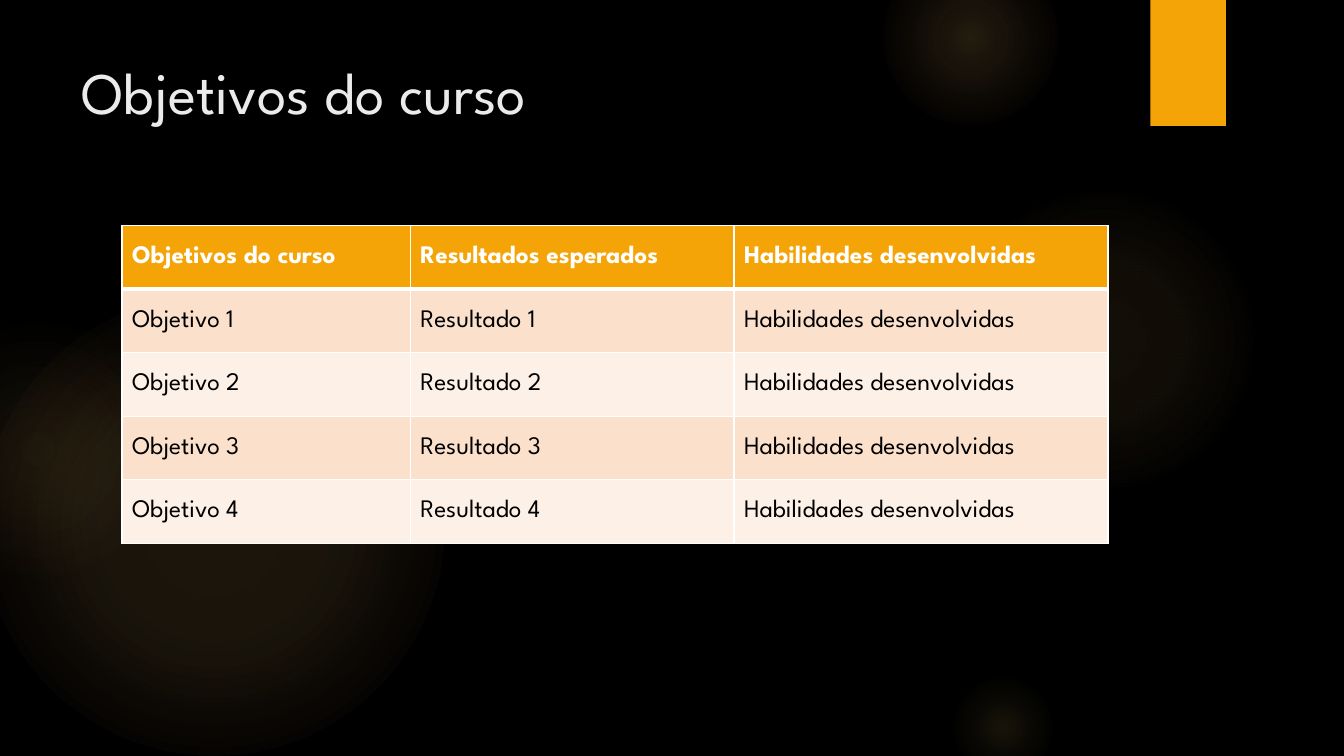
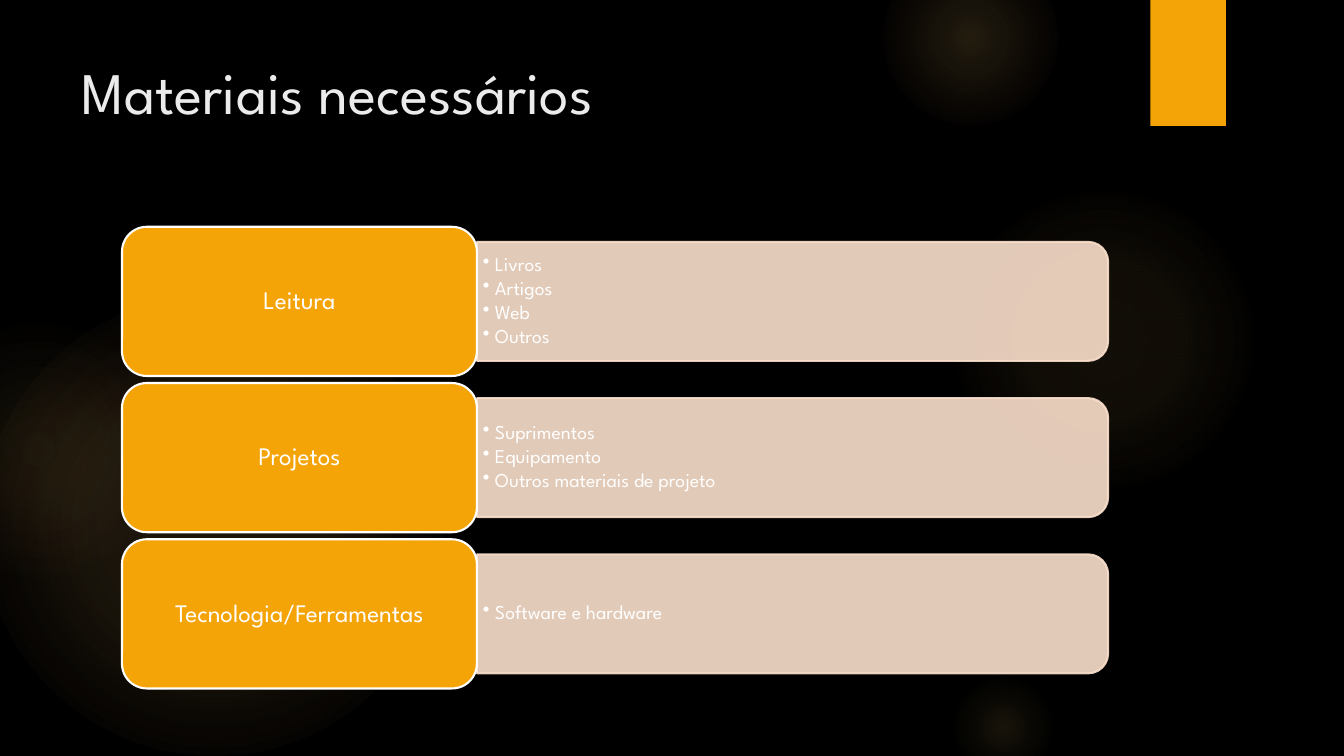
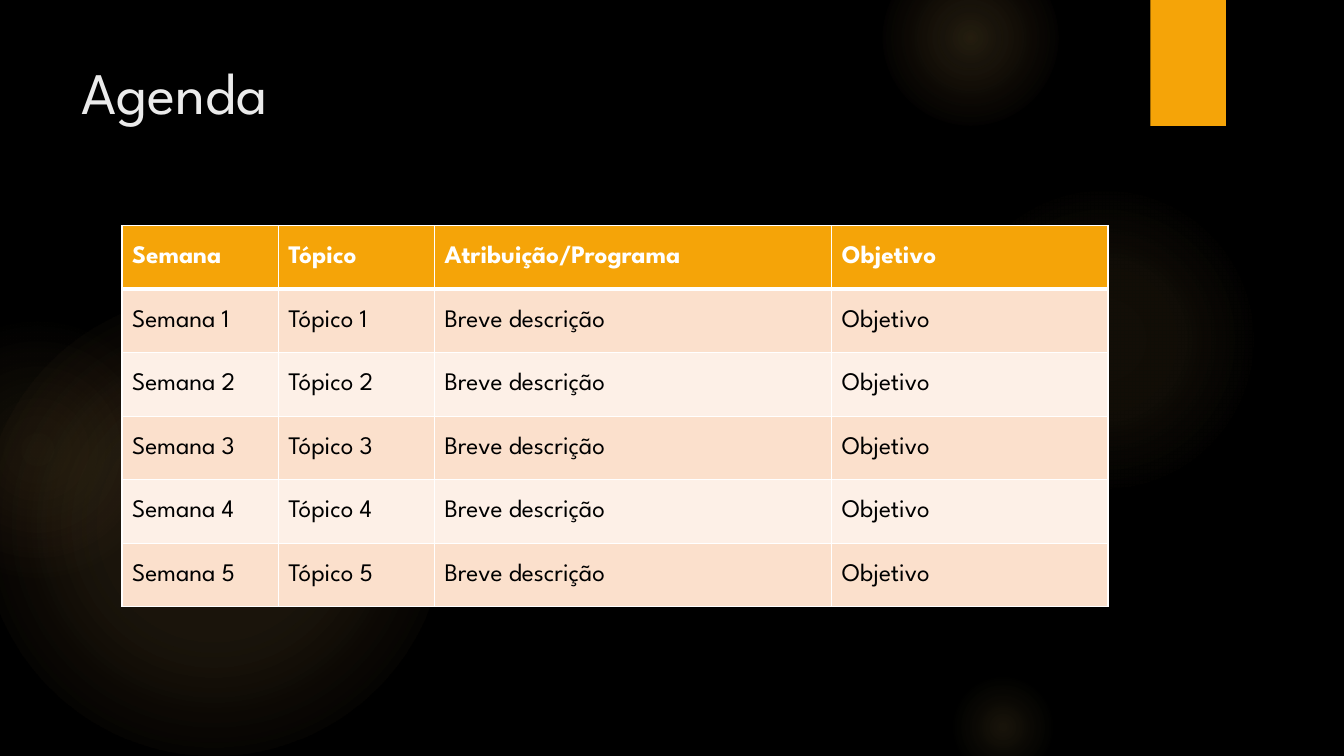
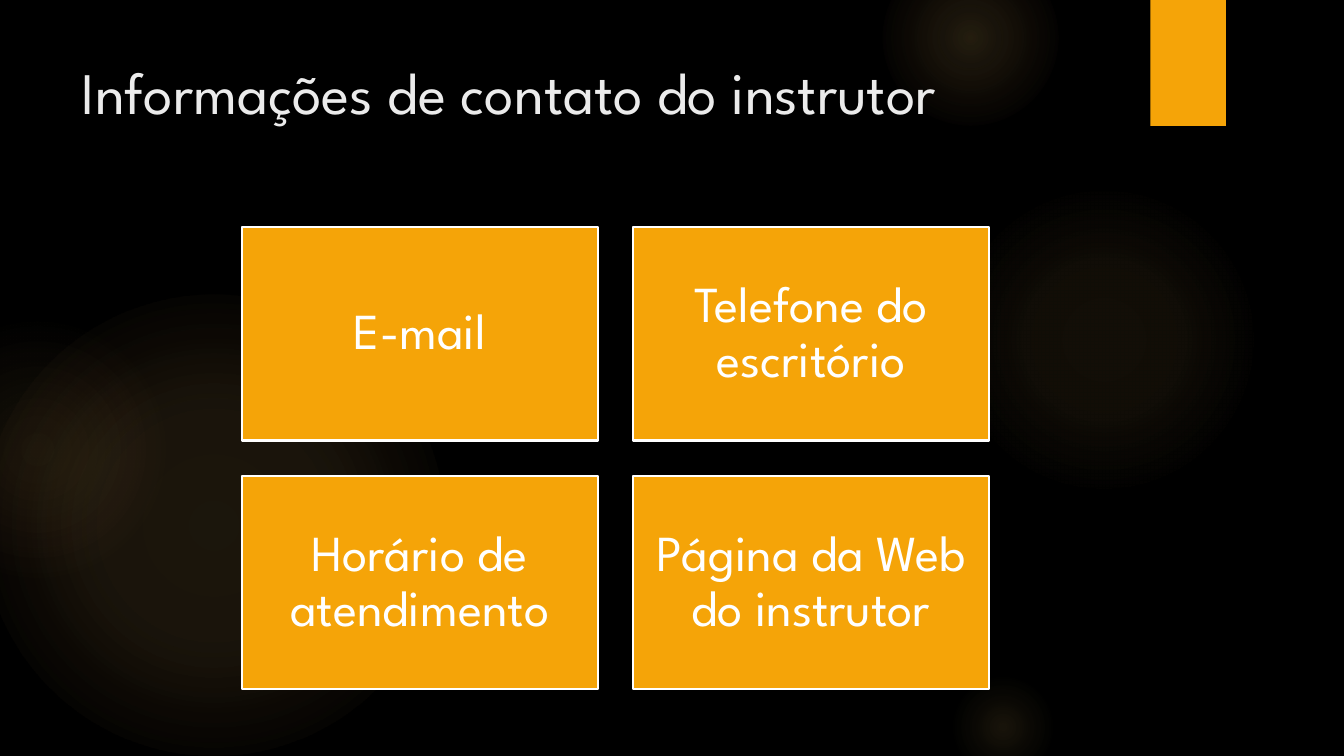
from dataclasses import dataclass

from lxml import etree
from pptx import Presentation
from pptx.dml.color import RGBColor
from pptx.enum.shapes import MSO_SHAPE
from pptx.enum.text import MSO_ANCHOR, MSO_AUTO_SIZE, PP_ALIGN
from pptx.oxml import parse_xml
from pptx.oxml.ns import nsdecls, qn
from pptx.shapes.shapetree import SlideShapes
from pptx.util import Inches, Pt

RECT = MSO_SHAPE.RECTANGLE
ROUNDED = MSO_SHAPE.ROUNDED_RECTANGLE
TOP_ROUNDED = MSO_SHAPE.ROUND_2_SAME_RECTANGLE
OVAL = MSO_SHAPE.OVAL
LEFT, CENTER = PP_ALIGN.LEFT, PP_ALIGN.CENTER
TOP, MIDDLE = MSO_ANCHOR.TOP, MSO_ANCHOR.MIDDLE
TITLE_ONLY = 5


@dataclass(frozen=True)
class Theme:
    font: str = "League Spartan"
    background: str = "000000"
    title: str = "EBEBEB"
    accent: str = "F5A408"
    glow: str = "FAC96A"
    glow_edge: str = "F59B74"
    band_dark: str = "FBE0CC"
    band_light: str = "FDF0E7"
    light: str = "FFFFFF"
    dark: str = "000000"
    title_size: int = 42
    card_size: int = 36
    text_size: int = 18
    list_size: int = 14
    outline: float = 1.5


# left, top, diameter, then (position %, opacity %) stops
GLOWS = [
    (-0.17, 2.92, 4.58, [(0, 11), (36, 10), (75, 0)]),
    (-0.92, 3.17, 2.58, [(0, 8), (36, 5), (71, 0)]),
    (9.41, 1.83, 3.08, [(0, 7), (36, 6), (69, 0)]),
    (8.75, -0.5, 1.75, [(0, 14), (36, 7), (73, 0)]),
    (9.41, 6.67, 1.08, [(0, 10), (31, 5), (66, 0)]),
]
WARM_GLOW = 1


def rgb(color):
    return RGBColor.from_string(color)


class Deck:
    def __init__(self, theme):
        self.theme = theme
        self.prs = Presentation()
        self.prs.slide_width = Inches(13.33)
        self.prs.slide_height = Inches(7.5)
        self.layout = self.prs.slide_layouts[TITLE_ONLY]
        self.decorate_layout()

    def decorate_layout(self):
        """Put the background, glows and corner tab on the shared layout."""
        t = self.theme
        fill = self.prs.slide_master.background.fill
        fill.solid()
        fill.fore_color.rgb = rgb(t.background)
        self.shapes = SlideShapes(self.layout.shapes.element, self.layout)
        for i, (left, top, size, stops) in enumerate(GLOWS):
            edge = t.glow_edge if i == WARM_GLOW else t.glow
            self.glow(left, top, size, stops, edge)
        self.box(RECT, 11.41, 0, 0.75, 1.25, t.accent)

    def glow(self, left, top, size, stops, edge):
        sp = self.shapes.add_shape(
            OVAL, Inches(left), Inches(top), Inches(size), Inches(size))
        sp.shadow.inherit = False
        sp.line.fill.background()
        colors = [self.theme.glow] * (len(stops) - 1) + [edge]
        gs = "".join(
            f'<a:gs pos="{pos * 1000}"><a:srgbClr val="{color}">'
            f'<a:alpha val="{alpha * 1000}"/></a:srgbClr></a:gs>'
            for (pos, alpha), color in zip(stops, colors))
        grad = parse_xml(
            f'<a:gradFill {nsdecls("a")} rotWithShape="1"><a:gsLst>{gs}</a:gsLst>'
            '<a:path path="circle"><a:fillToRect l="50000" t="50000" r="50000"'
            ' b="50000"/></a:path></a:gradFill>')
        sp.element.spPr.find(qn("a:prstGeom")).addnext(grad)

    def add_slide(self, title):
        t = self.theme
        slide = self.prs.slides.add_slide(self.layout)
        self.shapes = slide.shapes
        sp = slide.shapes.title
        sp.left, sp.top = Inches(0.71), Inches(0.5)
        sp.width, sp.height = Inches(10.29), Inches(1.53)
        tf = sp.text_frame
        tf.text = title
        tf.auto_size = MSO_AUTO_SIZE.NONE
        tf.vertical_anchor = TOP
        self.style(tf.paragraphs[0], t.title_size, t.title, LEFT)

    def style(self, p, size, color, align, bold=False):
        p.alignment = align
        for r in p.runs:
            r.font.name = self.theme.font
            r.font.size = Pt(size)
            r.font.bold = bold
            r.font.color.rgb = rgb(color)

    def box(self, kind, left, top, width, height, fill, line=None, opacity=None):
        sp = self.shapes.add_shape(
            kind, Inches(left), Inches(top), Inches(width), Inches(height))
        sp.shadow.inherit = False
        sp.fill.solid()
        sp.fill.fore_color.rgb = rgb(fill)
        if line:
            sp.line.color.rgb = rgb(line)
            sp.line.width = Pt(self.theme.outline)
        else:
            sp.line.fill.background()
        if opacity is not None:
            for clr in list(sp.element.spPr.iter(qn("a:srgbClr"))):
                etree.SubElement(clr, qn("a:alpha")).set("val", str(opacity * 1000))
        return sp

    def frame(self, sp, text, inset_x, inset_y):
        """Fill a shape with middle-anchored, wrapped text."""
        tf = sp.text_frame
        tf.word_wrap = True
        tf.vertical_anchor = MIDDLE
        tf.margin_left = tf.margin_right = Inches(inset_x)
        tf.margin_top = tf.margin_bottom = Inches(inset_y)
        tf.text = text
        for p in tf.paragraphs:
            p.line_spacing = 0.9
        return tf

    def card(self, kind, left, top, width, height, text, size, inset_x, inset_y):
        t = self.theme
        sp = self.box(kind, left, top, width, height, t.accent, t.light)
        tf = self.frame(sp, text, inset_x, inset_y)
        self.style(tf.paragraphs[0], size, t.light, CENTER)

    def panel(self, left, top, width, height):
        """Draw a panel rounded on its right side, by a quarter turn."""
        t = self.theme
        sp = self.box(TOP_ROUNDED, left + (width - height) / 2,
                      top + (height - width) / 2, height, width,
                      t.band_dark, t.band_dark, opacity=90)
        sp.rotation = 90

    def bullets(self, left, top, width, height, items):
        t = self.theme
        sp = self.shapes.add_textbox(
            Inches(left), Inches(top), Inches(width), Inches(height))
        for p in self.frame(sp, "\n".join(items), 0.06, 0.03).paragraphs:
            p.level = 1
            p.space_after = Pt(2)
            self.style(p, t.list_size, t.light, LEFT)
            pPr = p._p.get_or_add_pPr()
            pPr.set("marL", str(Inches(0.12)))
            pPr.set("indent", str(-Inches(0.12)))
            etree.SubElement(pPr, qn("a:buChar")).set("char", "•")

    def borders(self, cell, top, bottom):
        tcPr = cell._tc.get_or_add_tcPr()
        for side, width in (("L", 1), ("R", 1), ("T", top), ("B", bottom)):
            ln = etree.SubElement(tcPr, qn(f"a:ln{side}"), w=str(Pt(width)))
            fill = etree.SubElement(ln, qn("a:solidFill"))
            etree.SubElement(fill, qn("a:srgbClr"), val=self.theme.light)

    def table(self, widths, rows, left=1.21, top=2.24, row_height=0.63):
        t = self.theme
        table = self.shapes.add_table(
            len(rows), len(widths), Inches(left), Inches(top),
            Inches(sum(widths)), Inches(row_height * len(rows))).table
        for column, width in zip(table.columns, widths):
            column.width = Inches(width)
        for i, row in enumerate(rows):
            header = i == 0
            fill = t.accent if header else t.band_dark if i % 2 else t.band_light
            for j, text in enumerate(row):
                cell = table.cell(i, j)
                cell.text = text
                cell.vertical_anchor = MIDDLE
                self.borders(cell, top=3 if i == 1 else 1, bottom=3 if header else 1)
                cell.fill.solid()
                cell.fill.fore_color.rgb = rgb(fill)
                self.style(cell.text_frame.paragraphs[0], t.text_size,
                           t.light if header else t.dark, LEFT, bold=header)


def objectives(deck):
    deck.add_slide("Objetivos do curso")
    header = ("Objetivos do curso", "Resultados esperados", "Habilidades desenvolvidas")
    rows = [(f"Objetivo {n}", f"Resultado {n}", "Habilidades desenvolvidas")
            for n in range(1, 5)]
    deck.table([2.86, 3.21, 3.71], [header] + rows)


def materials(deck):
    deck.add_slide("Materiais necessários")
    groups = [
        ("Leitura", ["Livros", "Artigos", "Web", "Outros"]),
        ("Projetos", ["Suprimentos", "Equipamento", "Outros materiais de projeto"]),
        ("Tecnologia/Ferramentas", ["Software e hardware"]),
    ]
    left, width, height, pitch = 1.21, 3.52, 1.48, 1.55
    list_left = left + width
    for i, (label, items) in enumerate(groups):
        top = 2.25 + i * pitch
        deck.panel(list_left, top + 0.15, 6.26, 1.18)
        deck.bullets(list_left, top + 0.2, 6.2, 1.07, items)
        deck.card(ROUNDED, left, top, width, height, label,
                  deck.theme.text_size, 0.07, 0.04)


def agenda(deck):
    deck.add_slide("Agenda")
    header = ("Semana", "Tópico", "Atribuição/Programa", "Objetivo")
    rows = [(f"Semana {n}", f"Tópico {n}", "Breve descrição", "Objetivo")
            for n in range(1, 6)]
    deck.table([1.55, 1.55, 3.94, 2.74], [header] + rows)


def contact(deck):
    deck.add_slide("Informações de contato do instrutor")
    labels = ["E-mail", "Telefone do escritório",
              "Horário de atendimento", "Página da Web do instrutor"]
    width, height, gap = 3.53, 2.12, 0.35
    for i, label in enumerate(labels):
        row, col = divmod(i, 2)
        deck.card(RECT, 2.4 + col * (width + gap), 2.25 + row * (height + gap),
                  width, height, label, deck.theme.card_size, 0.15, 0.15)


def main():
    deck = Deck(Theme())
    for build in (objectives, materials, agenda, contact):
        build(deck)
    deck.prs.save("out.pptx")


if __name__ == "__main__":
    main()
